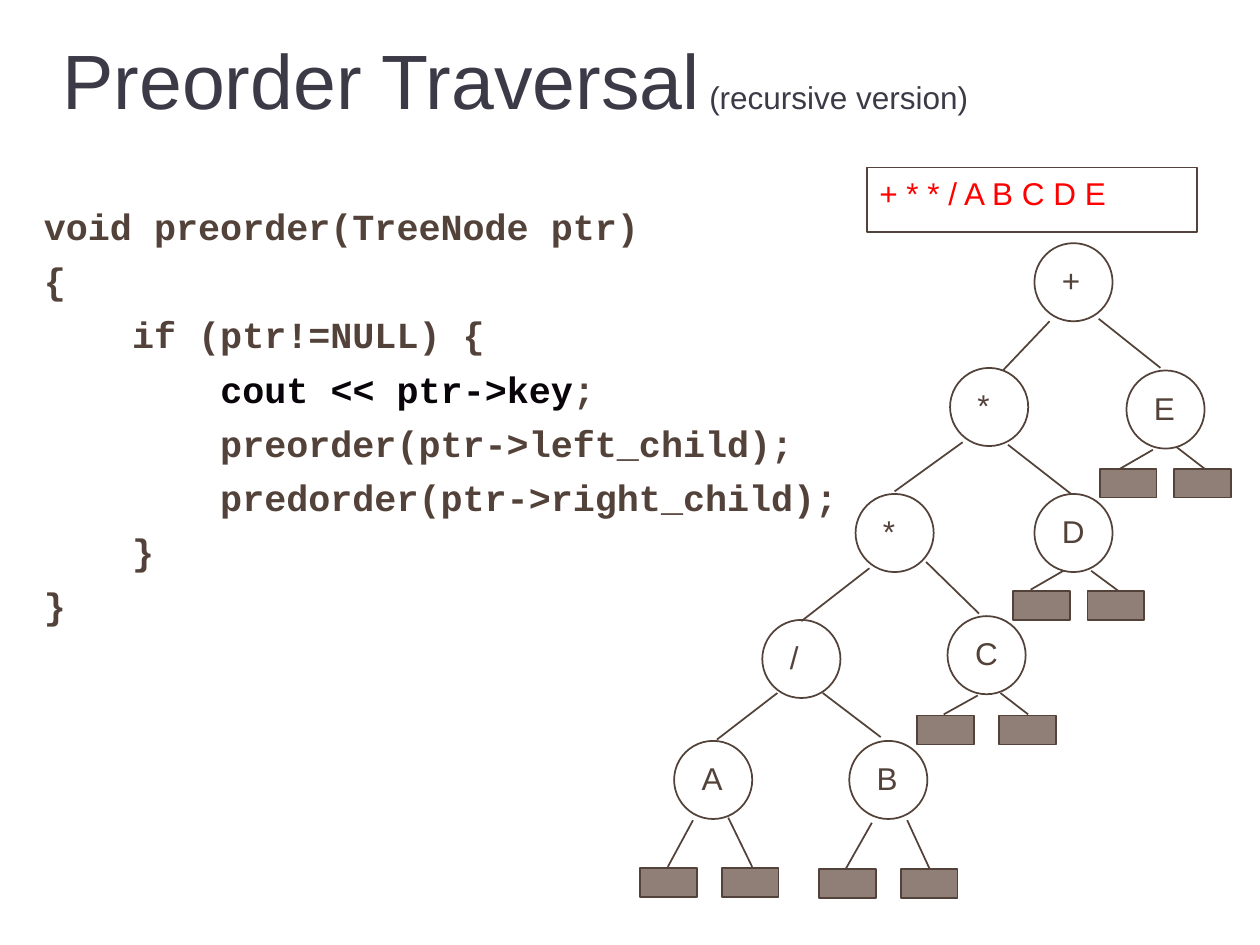
from pptx import Presentation
from pptx.dml.color import RGBColor
from pptx.enum.shapes import MSO_CONNECTOR as Conn, MSO_SHAPE as Shape
from pptx.enum.text import MSO_ANCHOR as Anchor, PP_ALIGN as Align
from pptx.oxml.ns import qn
from pptx.util import Inches, Pt
from lxml.etree import SubElement

BROWN = RGBColor(0x53, 0x42, 0x39)
TAUPE = RGBColor(0x90, 0x7F, 0x76)
SLATE = RGBColor(0x3D, 0x3A, 0x48)
BLACK = RGBColor(0x09, 0x04, 0x09)
RED = RGBColor(0xFF, 0x00, 0x00)

# The slide is a grid of 100 columns by 75 rows of square cells
COLS, ROWS = 100, 75
CELL = Inches(0.1)

NODE = 6.2                     # node diameter
LEAF_W, LEAF_H = 4.5, 2.3      # empty subtree box
LABEL_DX, LABEL_DY = 1.2, 0.95

TITLE_FMT = dict(name="Arial", size=Pt(44))
NOTE_FMT = dict(name="Arial", size=Pt(18))
CODE_FMT = dict(name="Courier New", size=Pt(21), bold=True)

# Each line of code is a list of (text, colour) runs
CODE = [
    [("void preorder(TreeNode ptr)", BROWN)],
    [("{", BROWN)],
    [("    if (ptr!=NULL) {", BROWN)],
    [("        ", BROWN), ("cout << ptr->key", BLACK), (";", BROWN)],
    [("        preorder(ptr->left_child);", BROWN)],
    [("        predorder(ptr->right_child);", BROWN)],
    [("    }", BROWN)],
    [("}", BROWN)],
]

# Label, column, row, then left and right branch as (x1, y1, x2, y2)
NODES = [
    ("+", 82.1, 19.3, (83.3, 25.5, 79.6, 29.4), (87.2, 25.3, 92.1, 29.2)),
    ("*", 75.4, 29.2, (76.4, 35.1, 71, 39), (80, 35.3, 85, 39.2)),
    ("*", 67.9, 39.2, (69, 45.1, 63.6, 49.3), (73.5, 44.6, 77.7, 48.7)),
    ("/", 60.5, 49.2, (61.7, 55, 56.9, 58.7), (65.3, 55, 69.9, 58.5)),
    ("A", 53.5, 58.8, (55, 65.1, 53, 68.8), (57.8, 64.9, 59.7, 68.8)),
    ("B", 67.4, 58.8, (69.2, 65.3, 67.1, 69), (72, 65.1, 73.8, 69)),
    ("C", 75.2, 48.9, (77.6, 55.2, 74.9, 56.7), (79.4, 55, 81.6, 56.7)),
    ("D", 82.1, 39.2, (84.4, 45.3, 81.8, 46.8), (86.6, 45.3, 88.9, 47)),
    ("E", 89.4, 29.4, (91.5, 35.7, 88.9, 37.2), (93.4, 35.5, 95.6, 37.2)),
]

# Row, then columns of the left and right empty subtree
LEAVES = [
    (68.9, 50.8, 57.3),
    (69, 65, 71.5),
    (56.8, 72.8, 79.3),
    (46.9, 80.4, 86.3),
    (37.2, 87.3, 93.2),
]


def cells(*counts):
    return [round(n * CELL) for n in counts]


def add_run(p, text, color, fmt):
    r = p.add_run()
    r.text = text
    for key, value in fmt.items():
        setattr(r.font, key, value)
    r.font.color.rgb = color


def add_text(s, x, y, w, h, wrap=True):
    tf = s.shapes.add_textbox(*cells(x, y, w, h)).text_frame
    tf.word_wrap = wrap
    return tf


def add_box(s, kind, x, y, w, h, fill=None):
    sp = s.shapes.add_shape(kind, *cells(x, y, w, h))
    sp.shadow.inherit = False
    if fill is None:
        sp.fill.background()
    else:
        sp.fill.solid()
        sp.fill.fore_color.rgb = fill
    sp.line.color.rgb = BROWN
    sp.line.width = Pt(1)
    return sp


def add_branch(s, ends):
    line = s.shapes.add_connector(Conn.STRAIGHT, *cells(*ends))
    line.line.color.rgb = BROWN
    line.line.width = Pt(1)
    SubElement(line._element.spPr, qn("a:effectLst"))


def add_node(s, label, x, y):
    add_box(s, Shape.OVAL, x, y, NODE, NODE)
    tf = add_text(s, x + LABEL_DX, y + LABEL_DY, 4.4, 5, wrap=False)
    add_run(tf.paragraphs[0], label, BROWN, NOTE_FMT)


def add_title(s):
    tf = add_text(s, -9.2, 0, 100.2, 12.5)
    tf.vertical_anchor = Anchor.MIDDLE
    p = tf.paragraphs[0]
    p.alignment = Align.CENTER
    add_run(p, "Preorder Traversal", SLATE, TITLE_FMT)
    add_run(p, " (recursive version)", SLATE, NOTE_FMT)


def add_code(s):
    tf = add_text(s, 2.5, 15, 75.8, 45)
    tf.margin_top = Inches(0.12)
    for i, runs in enumerate(CODE):
        p = tf.add_paragraph() if i else tf.paragraphs[0]
        if i:
            p.space_before = Pt(5.7)
        for text, color in runs:
            add_run(p, text, color, CODE_FMT)


def add_output(s):
    sp = add_box(s, Shape.RECTANGLE, 68.8, 13.3, 26.2, 5.1)
    tf = sp.text_frame
    tf.vertical_anchor = Anchor.TOP
    p = tf.paragraphs[0]
    p.alignment = Align.LEFT
    add_run(p, "+ * * / A B C D E", RED, NOTE_FMT)


def add_tree(s):
    for label, x, y, *branches in NODES:
        add_node(s, label, x, y)
        for ends in branches:
            add_branch(s, ends)
    for y, *columns in LEAVES:
        for x in columns:
            add_box(s, Shape.RECTANGLE, x, y, LEAF_W, LEAF_H, TAUPE)


def main():
    prs = Presentation()
    prs.slide_width, prs.slide_height = cells(COLS, ROWS)
    s = prs.slides.add_slide(prs.slide_layouts[6])
    add_title(s)
    add_code(s)
    add_output(s)   # keys in the order they are visited
    add_tree(s)     # expression tree
    prs.save("out.pptx")


if __name__ == "__main__":
    main()
